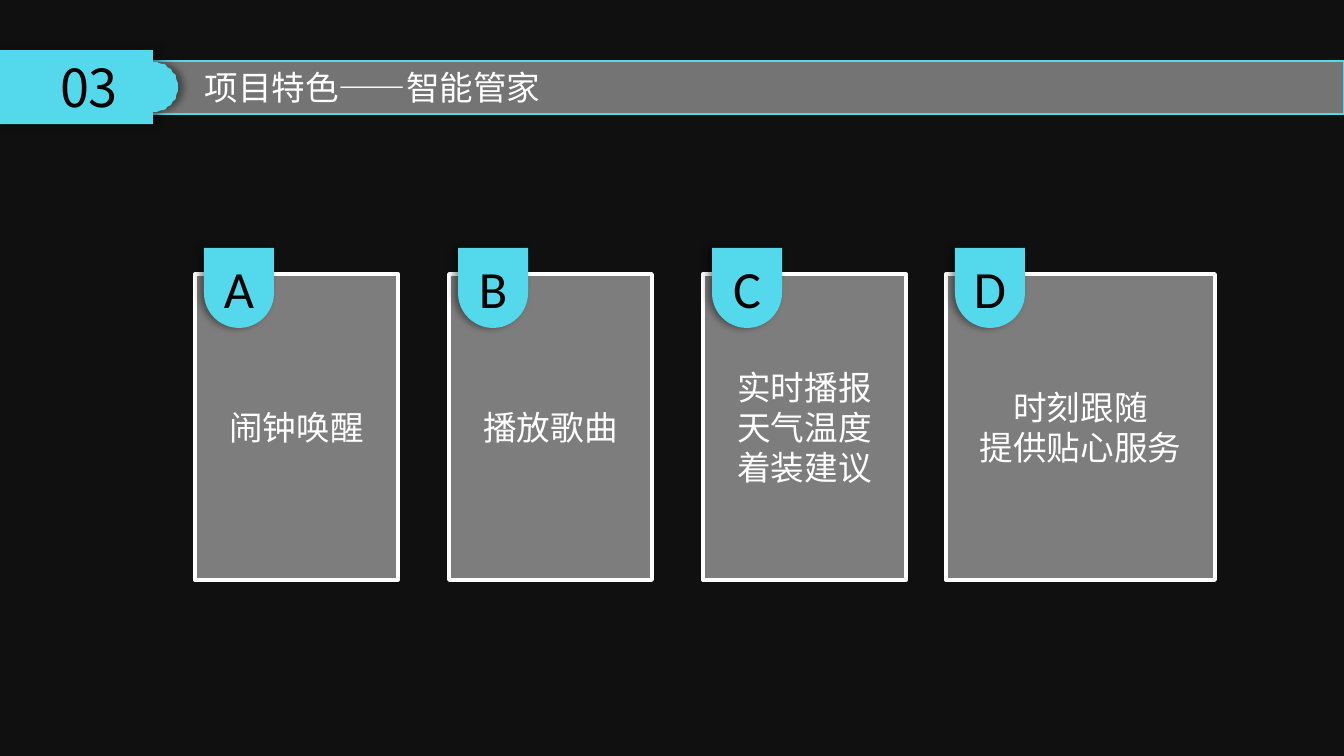
"""Build the smart butler feature slide with four lettered cards."""
import math

import lxml.etree
import pptx
import pptx.dml.color
import pptx.enum.shapes
import pptx.enum.text
import pptx.oxml.ns
import pptx.util

SCALE = 914400 / 134.4
BLACK = pptx.dml.color.RGBColor(0x00, 0x00, 0x00)
NIGHT = pptx.dml.color.RGBColor(0x10, 0x10, 0x10)
WHITE = pptx.dml.color.RGBColor(0xFF, 0xFF, 0xFF)
CYAN = pptx.dml.color.RGBColor(0x53, 0xD9, 0xEB)
CHINESE = "Noto Sans CJK SC"
CENTER = pptx.enum.text.PP_ALIGN.CENTER
LEFT = pptx.enum.text.PP_ALIGN.LEFT
PRESET = pptx.enum.shapes.MSO_SHAPE
qn = pptx.oxml.ns.qn


def paint(shape, color, alpha=None, line=None, width=1, shadow=None):
    shape.shadow.inherit = False
    shape.fill.solid()
    shape.fill.fore_color.rgb = color
    if alpha:
        tint = shape.fill._xPr.find(qn("a:solidFill"))[0]
        lxml.etree.SubElement(tint, qn("a:alpha"), val=str(alpha * 1000))
    if line:
        shape.line.color.rgb = line
        shape.line.width = pptx.util.Pt(width)
    else:
        shape.line.fill.background()
    if shadow:
        distance, angle = shadow
        effects = shape.element.spPr.find(qn("a:effectLst"))
        outer = lxml.etree.SubElement(
            effects, qn("a:outerShdw"), blurRad=str(pptx.util.Pt(4)),
            dist=str(pptx.util.Pt(distance)), dir=str(angle * 60000),
            algn="ctr", rotWithShape="0")
        tint = lxml.etree.SubElement(outer, qn("a:srgbClr"), val=str(BLACK))
        lxml.etree.SubElement(tint, qn("a:alpha"), val="40000")


def write(shape, text, size, color, font, align=CENTER):
    frame = shape.text_frame
    frame.text = text
    frame.word_wrap = False
    frame.auto_size = pptx.enum.text.MSO_AUTO_SIZE.NONE
    frame.vertical_anchor = pptx.enum.text.MSO_ANCHOR.MIDDLE
    for para in frame.paragraphs:
        para.alignment = align
        for span in para.runs:
            span.font.size = pptx.util.Pt(size)
            span.font.color.rgb = color
            span.font.name = font
            properties = span.font._element
            lxml.etree.SubElement(properties, qn("a:ea"), typeface=font)


deck = pptx.Presentation()
deck.slide_width = round(1344 * SCALE)
deck.slide_height = round(756 * SCALE)
page = deck.slides.add_slide(deck.slide_layouts[5])
page.background.fill.solid()
page.background.fill.fore_color.rgb = NIGHT

cards = [
    ("A", 195, 203, "闹钟唤醒"),
    ("B", 449, 203, "播放歌曲"),
    ("C", 703, 203, "实时播报\n天气温度\n着装建议"),
    ("D", 946, 269, "时刻跟随\n提供贴心服务"),
]
for letter, left, width, text in cards:
    card = page.shapes.add_shape(
        PRESET.RECTANGLE,
        *(round(length * SCALE) for length in (left, 274, width, 306)))
    paint(card, WHITE, alpha=46, line=WHITE, width=2)
    write(card, text, 18, WHITE, CHINESE)

    tab = page.shapes.add_shape(
        PRESET.ROUND_2_SAME_RECTANGLE,
        *(round(length * SCALE) for length in (left + 9, 248, 70, 80)))
    tab.adjustments[0] = 0
    tab.adjustments[1] = 0.5
    paint(tab, CYAN, shadow=(2, 180))
    write(tab, letter, 28, BLACK, "Calibri")
    tab.text_frame.margin_left = tab.text_frame.margin_right = 0
    tab.text_frame.margin_top = round(10 * SCALE)
    tab.text_frame.margin_bottom = 0

bar = page.shapes.add_shape(
    PRESET.RECTANGLE, *(round(length * SCALE) for length in (0, 61, 1344, 53)))
paint(bar, WHITE, alpha=42, line=CYAN)

arc = [(153 + 25 * math.cos(math.radians(angle)),
        87 + 25 * math.sin(math.radians(angle)))
       for angle in range(-90, 91, 5)]
outline = page.shapes.build_freeform(0, 50, scale=SCALE)
outline.add_line_segments([(153, 50), *arc, (153, 124), (0, 124)], close=True)
banner = outline.convert_to_shape()
paint(banner, CYAN, shadow=(3, 0))
write(banner, "03", 28, BLACK, "Noto Sans CJK JP")

title = page.shapes.title
title.left, title.top, title.width, title.height = (
    round(length * SCALE) for length in (191, 60, 363, 54))
write(title, "项目特色——智能管家", 18, WHITE, CHINESE, LEFT)
title.element.getparent().append(title.element)

deck.save("out.pptx")
